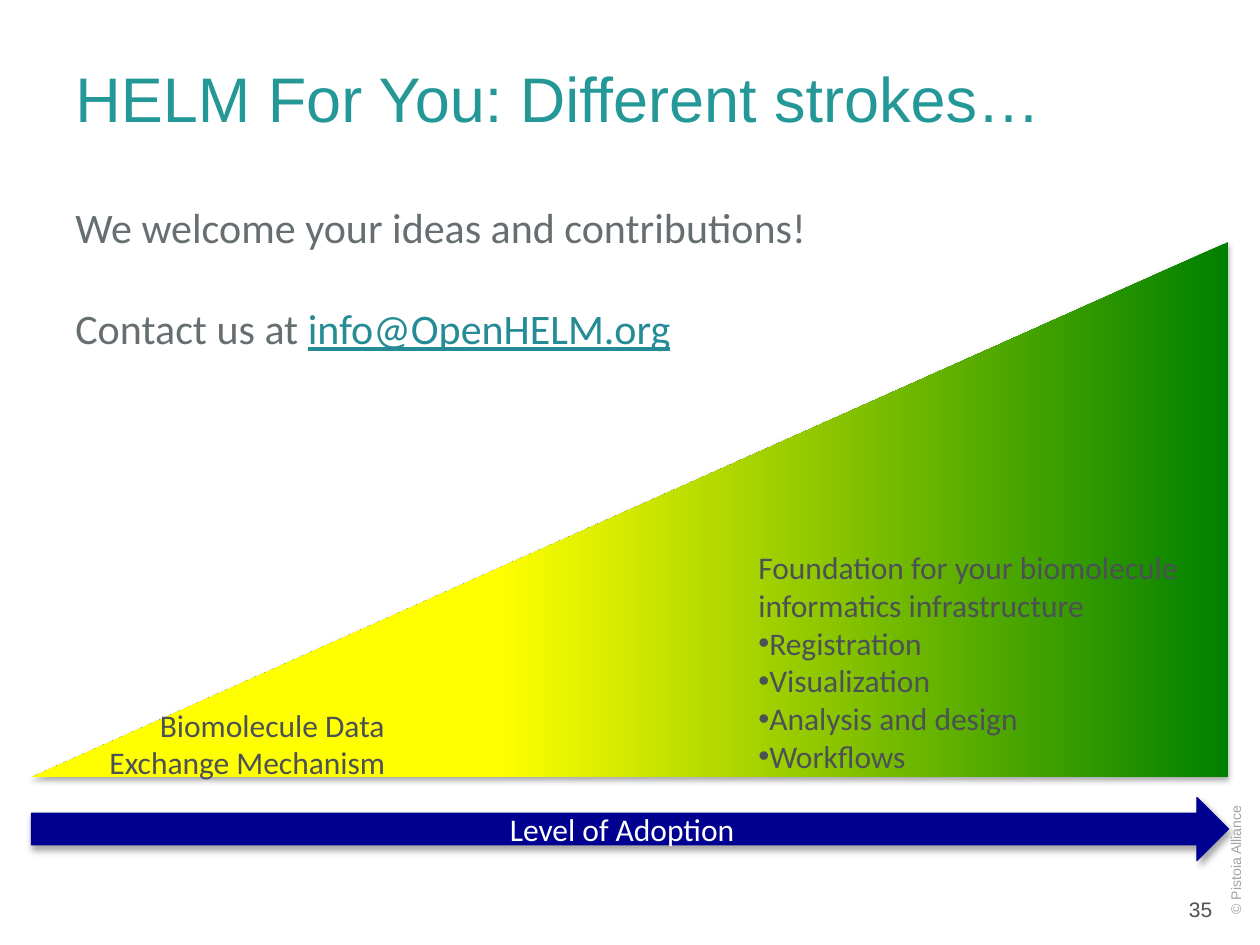
from lxml import etree
from pptx import Presentation
from pptx import util as u
from pptx.dml import color
from pptx.enum import shapes, text
from pptx.oxml import ns

PX = 9144
SLATE = "4C5156"
LEFT, CENTER, RIGHT = text.PP_ALIGN.LEFT, text.PP_ALIGN.CENTER, text.PP_ALIGN.RIGHT


def px(*lengths):
    """Turn pixel lengths (100 to the inch) into EMU."""
    return [u.Emu(length * PX) for length in lengths]


def rgb(hex_color):
    """Turn a hex string into a colour."""
    return color.RGBColor.from_string(hex_color)


def style(paragraph, size, face, hex_color, align=LEFT):
    """Set the alignment and font of a paragraph."""
    paragraph.alignment = align
    paragraph.font.size = u.Pt(size)
    paragraph.font.name = face
    paragraph.font.color.rgb = rgb(hex_color)


def add_lines(slide, box, lines, size, face, hex_color, align=LEFT, middle=False, wrap=True):
    """Add a text box with one paragraph per line and return it."""
    area = slide.shapes.add_textbox(*px(*box))
    frame = area.text_frame
    frame.word_wrap = wrap
    frame.vertical_anchor = text.MSO_ANCHOR.MIDDLE if middle else text.MSO_ANCHOR.TOP
    frame.text = "\n".join(lines)
    for paragraph in frame.paragraphs:
        style(paragraph, size, face, hex_color, align)
    return area


def indent(paragraph, first_line):
    """Shift the first line of a paragraph from a zero margin."""
    properties = paragraph._p.get_or_add_pPr()
    properties.set("marL", "0")
    properties.set("indent", str(first_line * PX))
    return properties


def add_shadow(shape):
    """Give a shape a soft shadow that falls straight down."""
    shape.shadow.inherit = False
    effects = shape._element.spPr.find(ns.qn("a:effectLst"))
    shadow = etree.SubElement(effects, ns.qn("a:outerShdw"), blurRad=str(u.Pt(3.1)),
                              dist=str(u.Pt(1.8)), dir="5400000", rotWithShape="0")
    black = etree.SubElement(shadow, ns.qn("a:srgbClr"), val="000000")
    etree.SubElement(black, ns.qn("a:alpha"), val="35000")


def add_wedge(slide, box):
    """Draw the rising adoption wedge, yellow to green."""
    wedge = slide.shapes.add_shape(shapes.MSO_SHAPE.RIGHT_TRIANGLE, *px(*box))
    wedge._element.spPr.find(ns.qn("a:xfrm")).set("flipH", "1")
    wedge.fill.gradient()
    wedge.fill.gradient_angle = 0
    for stop, (position, hex_color) in zip(wedge.fill.gradient_stops,
                                           [(0, "008000"), (0.61, "FFFF00")]):
        stop.position = position
        stop.color.rgb = rgb(hex_color)
    wedge.line.fill.background()
    add_shadow(wedge)


def add_adoption(slide, box):
    """Place the wedge, its two stage labels and the arrow below it."""
    left, top, width, height = box
    add_wedge(slide, (left, top, width, 425))

    exchange = add_lines(slide, (left + 52, top + 363, 242, 71),
                         ["Biomolecule Data", "Exchange Mechanism"],
                         18, "Calibri", SLATE, wrap=False)
    indent(exchange.text_frame.paragraphs[0], 40)

    uses = ["Registration", "Visualization", "Analysis and design", "Workflows"]
    foundation = add_lines(slide, (left + 567, top + 238, 392, 192),
                           ["Foundation for your biomolecule informatics infrastructure"],
                           18, "Calibri", SLATE)
    for use in uses:
        item = foundation.text_frame.add_paragraph()
        item.text = use
        item.level = 1
        properties = indent(item, -31)
        etree.SubElement(properties, ns.qn("a:buFont"), typeface="Arial")
        etree.SubElement(properties, ns.qn("a:buChar"), char="•")
        style(item, 18, "Calibri", SLATE)

    arrow = slide.shapes.add_shape(shapes.MSO_SHAPE.RIGHT_ARROW,
                                   *px(left, top + height - 50, width, 50))
    arrow.fill.solid()
    arrow.fill.fore_color.rgb = rgb("000090")
    arrow.line.color.rgb = rgb("000090")
    arrow.line.width = u.Pt(0.75)
    add_shadow(arrow)
    arrow.text_frame.vertical_anchor = text.MSO_ANCHOR.MIDDLE
    level = arrow.text_frame.paragraphs[0]
    level.text = "Level of Adoption"
    style(level, 18, "Calibri", "FFFFFF", CENTER)


def add_invitation(slide, box):
    """Place the welcome line and the contact address."""
    invitation = add_lines(slide, box,
                           ["We welcome your ideas and contributions!", "Contact us at "],
                           24, "Calibri", "666E71")
    contact = invitation.text_frame.paragraphs[1]
    contact.space_before = u.Pt(29)
    address = contact.add_run()
    address.text = "info@OpenHELM.org"
    address.font.underline = True
    address.font.color.rgb = rgb("258B95")


def add_margin_notes(slide, box):
    """Place the upright copyright line and the page number in the corner."""
    left, top, width, height = box
    rights = add_lines(slide, (left - 8, top + 32, 127, 40), ["© Pistoia Alliance"],
                       8, "Arial", "A0A3A5", middle=True)
    rights.rotation = 270
    add_lines(slide, (left, top + height - 31, 47, 31), ["35"],
              12, "Arial", SLATE, RIGHT, middle=True)


def main():
    """Build and save the slide."""
    deck = Presentation()
    deck.slide_width, deck.slide_height = px(1000, 750)
    slide = deck.slides.add_slide(deck.slide_layouts[6])
    add_margin_notes(slide, (925, 620, 75, 117))
    add_lines(slide, (50, 39, 812, 77), ["HELM For You: Different strokes…"],
              36, "Arial", "249797", middle=True)
    add_adoption(slide, (25, 192, 950, 491))
    add_invitation(slide, (50, 155, 844, 131))
    deck.save("out.pptx")


if __name__ == "__main__":
    main()
